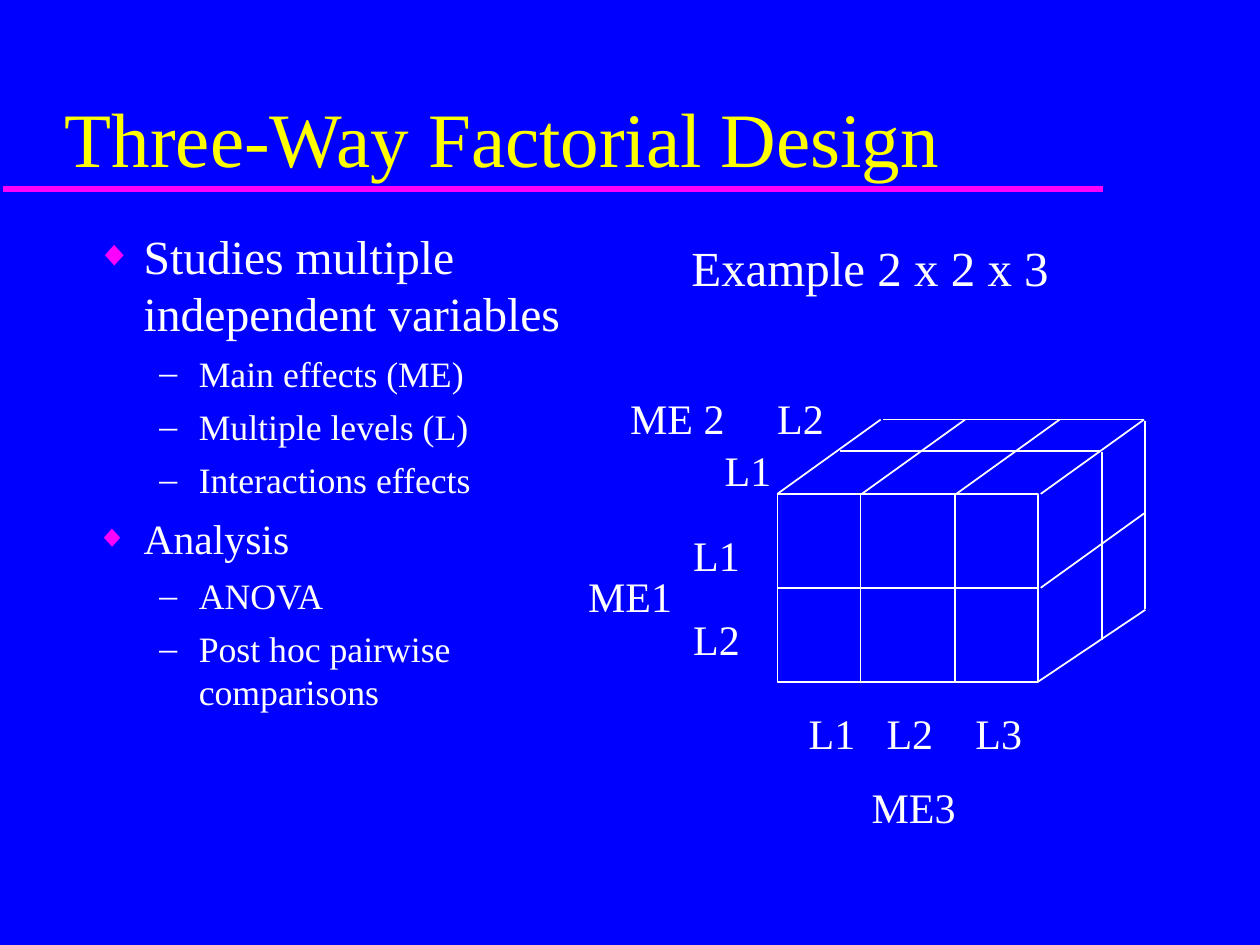
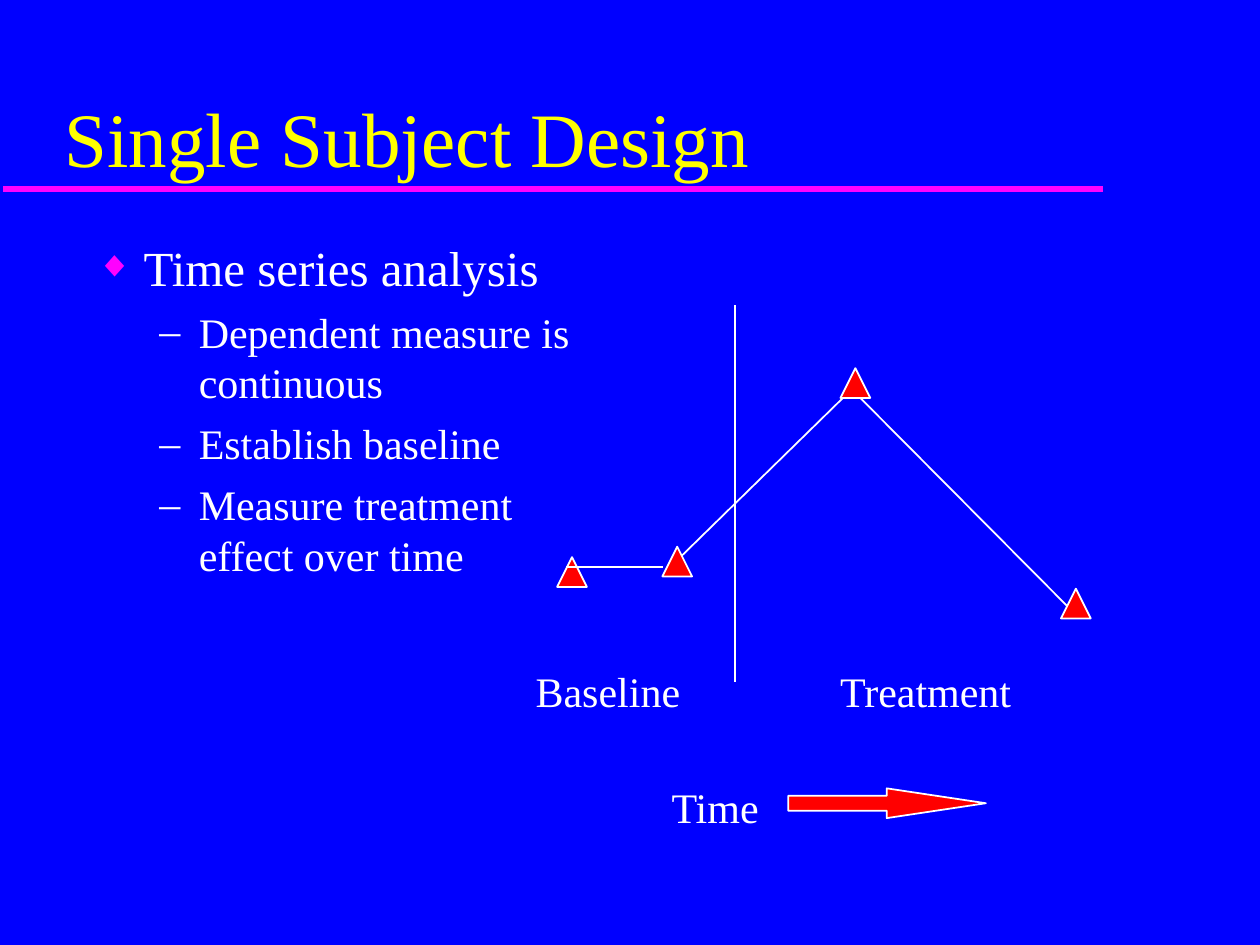
from dataclasses import dataclass

from lxml import etree
from pptx import Presentation
from pptx.dml.color import RGBColor
from pptx.enum.shapes import MSO_CONNECTOR, MSO_SHAPE
from pptx.enum.text import MSO_ANCHOR, MSO_AUTO_SIZE
from pptx.oxml.ns import qn
from pptx.util import Pt

LINE = MSO_CONNECTOR.STRAIGHT
RECT = MSO_SHAPE.RECTANGLE
PEAK = MSO_SHAPE.ISOSCELES_TRIANGLE
ARROW = MSO_SHAPE.RIGHT_ARROW
BOTTOM = MSO_ANCHOR.BOTTOM
TOP = MSO_ANCHOR.TOP
GROW = MSO_AUTO_SIZE.SHAPE_TO_FIT_TEXT
FIXED = MSO_AUTO_SIZE.NONE


@dataclass(frozen=True)
class Theme:
    """Colours, font, type sizes and line widths of the deck."""
    back: str = "0000FF"
    head: str = "FFFF00"
    text: str = "FFFFFF"
    rule: str = "FF00FF"
    mark: str = "FF0000"
    font: str = "Times New Roman"
    title: float = 44
    lead: float = 28
    label: float = 24
    thin: float = 0.99
    thick: float = 4


@dataclass(frozen=True)
class Level:
    """Indents and bullet of one text level."""
    left: float
    hang: float
    sign: str = ""
    color: str = ""
    scale: int = 100


THEME = Theme()
MAIN = Level(27, 27, "\u25c6", THEME.rule, 75)
SUB = Level(58.5, 22.5, "\u2013", THEME.text)
PLAIN = Level(27, 27)


def add(parent, tag, **attrs):
    """Append one drawing element and return it."""
    node = etree.SubElement(parent, qn(tag))
    for key, value in attrs.items():
        node.set(key, str(value))
    return node


class Deck:
    """Holds the style and the slide being drawn."""

    def __init__(self, theme):
        """Start an empty deck of 10 by 7.5 inches."""
        self.theme = theme
        self.file = Presentation()
        self.file.slide_width, self.file.slide_height = Pt(720), Pt(540)

    def page(self, title):
        """Begin a slide with its background, rule and title."""
        t = self.theme
        self.slide = self.file.slides.add_slide(self.file.slide_layouts[6])
        fill = self.slide.background.fill
        fill.solid()
        fill.fore_color.rgb = RGBColor.from_string(t.back)
        self.line((2, 108), (630, 108), t.rule, t.thick)
        frame = self.box(30, 21, 612, 87, True)
        frame.vertical_anchor = BOTTOM
        self.run(frame.paragraphs[0], title, t.title, t.head)

    def box(self, x, y, w, h, wrap):
        """Add a text box and return its frame."""
        shape = self.slide.shapes.add_textbox(Pt(x), Pt(y), Pt(w), Pt(h))
        frame = shape.text_frame
        frame.word_wrap = wrap
        frame.auto_size = FIXED if wrap else GROW
        frame.vertical_anchor = TOP
        return frame

    def run(self, para, text, size, color):
        """Add one styled run to a paragraph."""
        run = para.add_run()
        run.text = text
        run.font.name = self.theme.font
        run.font.size = Pt(size)
        run.font.color.rgb = RGBColor.from_string(color)

    def body(self, x, y, items):
        """Add a text block of (level, text, size, space before) items."""
        frame = self.box(x, y, 298, 324, True)
        for i, (level, text, size, before) in enumerate(items):
            para = frame.add_paragraph() if i else frame.paragraphs[0]
            para.space_before = Pt(before)
            self.bullet(para, level)
            self.run(para, text, size, self.theme.text)

    def bullet(self, para, level):
        """Give a paragraph the indents and bullet of its level."""
        props = para._p.get_or_add_pPr()
        props.set("marL", str(Pt(level.left)))
        props.set("indent", str(-Pt(level.hang)))
        if not level.sign:
            add(props, "a:buNone")
            return
        add(add(props, "a:buClr"), "a:srgbClr", val=level.color)
        add(props, "a:buSzPct", val=level.scale * 1000)
        add(props, "a:buFont", typeface=self.theme.font)
        add(props, "a:buChar", char=level.sign)

    def label(self, text, x, y, w):
        """Add a one-line label."""
        frame = self.box(x, y, w, 36, False)
        self.run(frame.paragraphs[0], text, self.theme.label, self.theme.text)

    def line(self, start, end, color=None, width=None):
        """Draw a straight line between two points."""
        shape = self.slide.shapes.add_connector(
            LINE, *[Pt(v) for v in (*start, *end)])
        shape.line.color.rgb = RGBColor.from_string(color or self.theme.text)
        shape.line.width = Pt(width or self.theme.thin)
        add(shape._element.spPr, "a:effectLst")

    def shape(self, kind, x, y, w, h, fill=None):
        """Add an outlined shape, filled if a colour is given."""
        shape = self.slide.shapes.add_shape(kind, Pt(x), Pt(y), Pt(w), Pt(h))
        shape.shadow.inherit = False
        if fill:
            shape.fill.solid()
            shape.fill.fore_color.rgb = RGBColor.from_string(fill)
        else:
            shape.fill.background()
        shape.line.color.rgb = RGBColor.from_string(self.theme.text)
        shape.line.width = Pt(self.theme.thin)
        return shape


def cube(deck):
    """Draw the 2 x 2 x 3 block of cells."""
    left, top, wide, high = 444.24, 282.24, 149.04, 107.28
    right, base, mid = left + wide, top + high, top + high / 2
    deep, rise = 59.04, 42.48
    deck.shape(RECT, left, top, wide, high)
    deck.line((left, mid), (right, mid))
    for x in (491.76, 545.76):
        deck.line((x, top), (x, base))
    slants = [(x, top) for x in (left, 492.48, 546.48, 594.72)]
    for x, y in slants + [(594.72, mid)]:
        deck.line((x, y), (x + deep, y - rise))
    for x, y in ((653.76, 239.76), (629.28, 257.76)):
        deck.line((x - wide, y), (x, y))
        deck.line((x + 0.5, y + 0.7), (x + 0.5, y + 0.7 + high))
    deck.line((654.48, 348.48), (right, base))


def factorial(deck):
    """Build the slide on three-way factorial design."""
    big, mid, small = 27.2, 23.8, 20.4
    deck.page("Three-Way Factorial Design")
    deck.body(48, 126, [
        (MAIN, "Studies multiple independent variables", big, 8),
        (SUB, "Main effects (ME)", small, 6),
        (SUB, "Multiple levels (L)", small, 6),
        (SUB, "Interactions effects", small, 6),
        (MAIN, "Analysis", mid, 7),
        (SUB, "ANOVA", small, 6),
        (SUB, "Post hoc pairwise comparisons", small, 6)])
    deck.body(388, 132, [
        (PLAIN, "Example 2 x 2 x 3", deck.theme.lead, 7)])
    cube(deck)
    short, long = 43, 66
    for text, x, y, w in (
            ("L1", 455, 401, short), ("L2", 499.5, 401, short),
            ("L3", 550.3, 401, short),
            ("L1", 389, 299, short), ("L2", 389, 347, short),
            ("L2", 437, 221, short), ("L1", 407, 250.5, short),
            ("ME1", 329, 322.5, long), ("ME 2", 353, 221, 72),
            ("ME3", 491, 443, long)):
        deck.label(text, x, y, w)


def single(deck):
    """Build the slide on single subject design."""
    t = deck.theme
    deck.page("Single Subject Design")
    deck.body(48, 132, [
        (MAIN, "Time series analysis", t.lead, 7),
        (SUB, "Dependent measure is continuous", t.label, 6),
        (SUB, "Establish baseline", t.label, 6),
        (SUB, "Measure treatment effect over time", t.label, 6)])
    peak = (486.72, 222.48)
    deck.line(peak, (611.28, 347.76))
    deck.line(peak, (383.76, 323.28))
    side = 17
    for x, y in ((606.3, 336.4), (480.3, 210.4), (378.5, 312.4),
                 (318.4, 318.4)):
        deck.shape(PEAK, x, y, side, side, t.mark)
    deck.line((378.7, 324), (323.3, 324))
    deck.line((420, 174.5), (420, 389.5))
    deck.label("Baseline", 299, 376.5, 99)
    deck.label("Treatment", 473, 376.5, 115)
    deck.label("Time", 376.7, 443, 67)
    arrow = deck.shape(ARROW, 450.4, 450.5, 113, side, t.mark)
    arrow.adjustments[0] = 0.5
    arrow.adjustments[1] = 3.33


deck = Deck(THEME)
factorial(deck)
single(deck)
deck.file.save("out.pptx")
